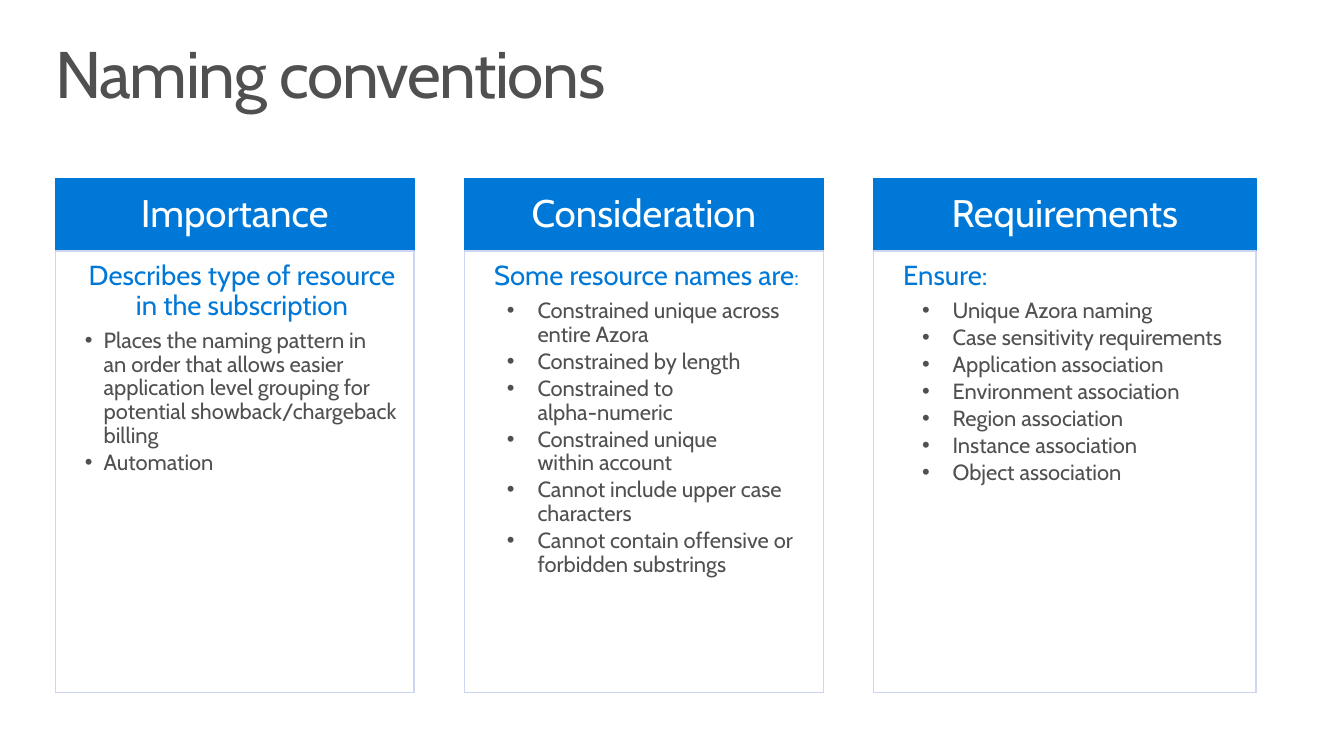
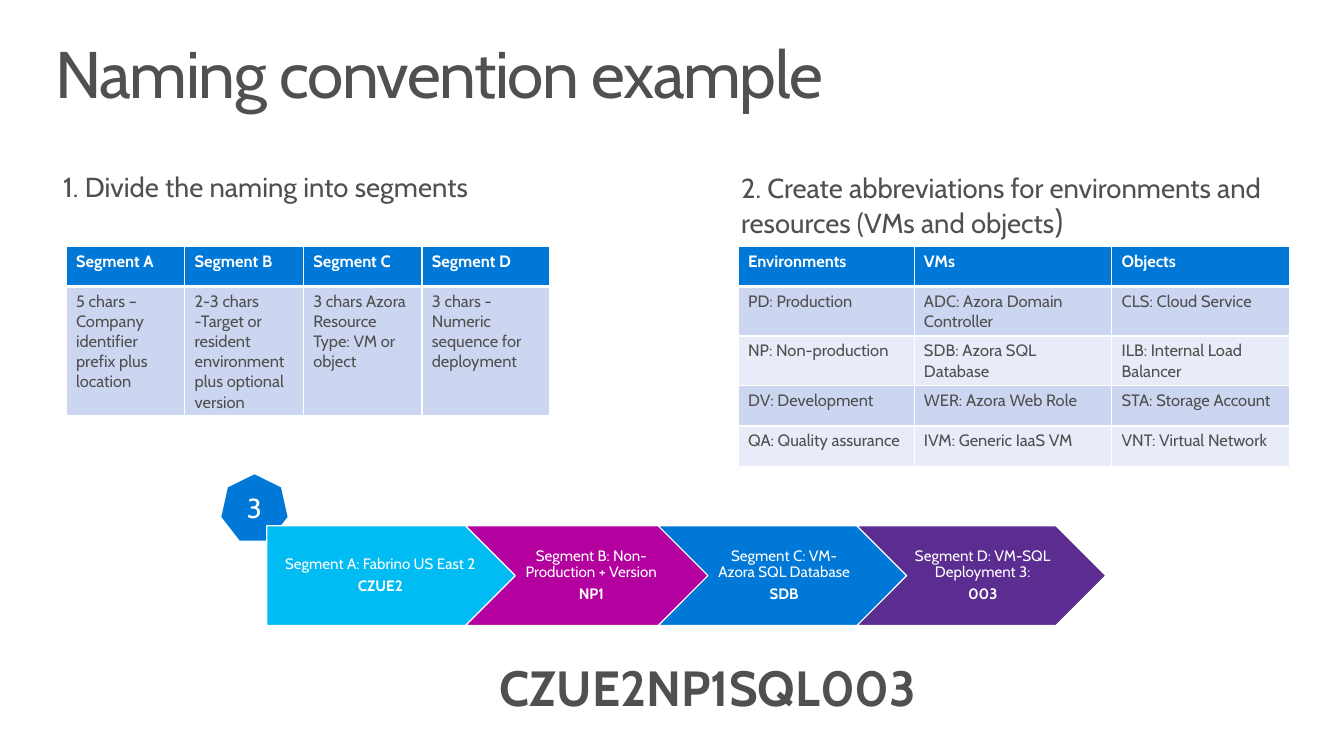
import copy
import pptx
import pptx.util
import pptx.dml.color
import pptx.enum.shapes
import pptx.enum.text
import pptx.oxml.ns
import lxml.etree

SCALE = 9144
FONT = "Cabin"
GRAY, BLUE, WHITE = "505050", "0078D7", "FFFFFF"
PALE, FAINT = "CCD6F0", "E7ECF8"
CYAN, PINK, PLUM = "00BCF2", "B4009E", "5C2D91"
FORMS = pptx.enum.shapes.MSO_SHAPE
ANCHOR = pptx.enum.text.MSO_ANCHOR
LEFT = pptx.enum.text.PP_ALIGN.LEFT
MID = pptx.enum.text.PP_ALIGN.CENTER

CARDS = [
    ("Importance", 363, (38, 19), MID, "Describes type of resource\nin the subscription", "", [
        "Places the naming pattern in\nan order that allows easier application level grouping "
        "for potential showback/chargeback billing",
        "Automation"]),
    ("Consideration", 363, (63, 31), LEFT, "Some resource names are", ":", [
        "Constrained unique across entire Azora",
        "Constrained by length",
        "Constrained to\nalpha-numeric",
        "Constrained unique\nwithin account",
        "Cannot include upper case characters",
        "Cannot contain offensive or forbidden substrings"]),
    ("Requirements", 387, (69, 31), LEFT, "Ensure:", "", [
        "Unique Azora naming",
        "Case sensitivity requirements",
        "Application association",
        "Environment association",
        "Region association",
        "Instance association",
        "Object association"]),
]
PARTS = [
    ["Segment A", "Segment B", "Segment C", "Segment D"],
    ["5 chars – Company identifier prefix plus location",
     "2-3 chars -Target or resident environment plus optional version",
     "3 chars Azora Resource Type: VM or object",
     "3 chars - Numeric sequence for deployment"],
]
CODES = [
    ["Environments", "VMs", "Objects"],
    ["PD: Production", "ADC: Azora Domain Controller", "CLS: Cloud Service"],
    ["NP: Non-production", "SDB: Azora SQL Database", "ILB: Internal Load Balancer"],
    ["DV: Development", "WER: Azora Web Role", "STA: Storage Account"],
    ["QA: Quality assurance", "IVM: Generic IaaS VM", "VNT: Virtual Network"],
]
CHAIN = [
    (270, FORMS.PENTAGON, CYAN, "Segment A: Fabrino US East 2", "CZUE2"),
    (471, FORMS.CHEVRON, PINK, "Segment B: Non-Production + Version", "NP1"),
    (666, FORMS.CHEVRON, BLUE, "Segment C: VM-Azora SQL Database", "SDB"),
    (867, FORMS.CHEVRON, PLUM, "Segment D: VM-SQL Deployment 3:", "003"),
]


def px(size):
    return pptx.util.Emu(size * SCALE)


def hue(code):
    return pptx.dml.color.RGBColor.from_string(code)


def node(parent, tag, **attrs):
    return lxml.etree.SubElement(parent, pptx.oxml.ns.qn(tag), **attrs)


def text(frame, words, size=16, color=GRAY, bold=False, align=LEFT, line=0.9,
         after=0, left=0, hang=0, tail="", tall=16, space=0):
    para = frame.add_paragraph() if frame.text else frame.paragraphs[0]
    para.alignment = align
    para.line_spacing = line
    para.space_before = pptx.util.Pt(0)
    para.space_after = pptx.util.Pt(after)
    props = para._p.get_or_add_pPr()
    props.set("marL", str(px(left)))
    props.set("indent", str(px(-hang)))
    if hang:
        node(props, "a:buFont", typeface="Arial")
        node(props, "a:buChar", char="•")
    pairs = [(row, size) for row in words.split("\n")]
    if tail:
        pairs.append((tail, tall))
    for spot, (part, points) in enumerate(pairs):
        if spot and part != tail:
            para.add_line_break()
        run = para.add_run()
        run.text = part
        run.font.name = FONT
        run.font.size = pptx.util.Pt(points)
        run.font.bold = bold
        run.font.color.rgb = hue(color)
        if space:
            run._r.get_or_add_rPr().set("spc", str(space))
    for stop in para._p.findall(pptx.oxml.ns.qn("a:br")):
        stop.insert(0, copy.deepcopy(para.runs[0]._r.rPr))


def setup(frame, pads, anchor):
    frame.word_wrap = True
    frame.vertical_anchor = anchor
    frame.margin_left, frame.margin_top, frame.margin_right, frame.margin_bottom = map(px, pads)
    return frame


def shape(slide, form, place, fill, line=None, pads=(0, 5, 0, 5), anchor=ANCHOR.MIDDLE):
    item = slide.shapes.add_shape(form, *map(px, place))
    item.shadow.inherit = False
    item.fill.solid()
    item.fill.fore_color.rgb = hue(fill)
    if line:
        item.line.color.rgb = hue(line)
        item.line.width = pptx.util.Pt(0.85)
    else:
        item.line.fill.background()
    return setup(item.text_frame, pads, anchor)


def label(slide, place, words, **style):
    box = slide.shapes.add_textbox(*map(px, place))
    text(setup(box.text_frame, (20, 16, 20, 16), ANCHOR.TOP), words, size=20, after=6, **style)


def page(deck, words):
    slide = deck.slides.add_slide(deck.slide_layouts[5])
    title = slide.shapes.title
    title.left, title.top, title.width, title.height = map(px, (40, 32, 1280, 100))
    frame = setup(title.text_frame, (16, 10, 16, 10), ANCHOR.TOP)
    frame.auto_size = pptx.enum.text.MSO_AUTO_SIZE.NONE
    text(frame, words, size=48, space=-100)
    return slide


def card(slide, left, data):
    head, width, (edge, hang), align, lead, tail, items = data
    frame = shape(slide, FORMS.RECTANGLE, (left, 181, width, 73), BLUE, BLUE, (22, 12, 22, 12))
    text(frame, head, size=28, color=WHITE, align=MID)
    frame = shape(slide, FORMS.RECTANGLE, (left, 254, width, 447), WHITE, PALE,
                  (11, 11, 15, 17), ANCHOR.TOP)
    text(frame, lead, size=20, color=BLUE, align=align, after=6, left=19, tail=tail)
    for item in items:
        text(frame, item, after=2.4, left=edge, hang=hang)


def edges(cell, row):
    props = cell._tc.get_or_add_tcPr()
    for side in "LRTB":
        points = 3 if (row, side) in ((0, "B"), (1, "T")) else 1
        rule = node(props, "a:ln" + side, w=str(pptx.util.Pt(points)))
        node(node(rule, "a:solidFill"), "a:srgbClr", val=WHITE)


def grid(slide, left, top, wides, highs, rows):
    place = map(px, (left, top, sum(wides), sum(highs)))
    table = slide.shapes.add_table(len(rows), len(wides), *place).table
    for column, wide in zip(table.columns, wides):
        column.width = px(wide)
    for index, (row, high) in enumerate(zip(rows, highs)):
        table.rows[index].height = px(high)
        fill = (PALE if index % 2 else FAINT) if index else BLUE
        for spot, words in enumerate(row):
            cell = table.cell(index, spot)
            edges(cell, index)
            cell.fill.solid()
            cell.fill.fore_color.rgb = hue(fill)
            text(cell.text_frame, words, size=12, color=GRAY if index else WHITE,
                 bold=not index, line=1.0)


def rules(deck):
    slide = page(deck, "Naming conventions")
    left = 56
    for data in CARDS:
        card(slide, left, data)
        left += data[1] + 51


def sample(deck):
    slide = page(deck, "Naming convention example")
    label(slide, (44, 161, 600, 63), "1. Divide the naming into segments")
    label(slide, (730, 161, 621, 99),
          "2. Create abbreviations for environments and resources (VMs and objects",
          tail=")", tall=24)
    grid(slide, 67, 249, (120, 120, 120, 129), (41, 130), PARTS)
    grid(slide, 747, 249, (178, 200, 180), (41, 50, 50, 41, 41), CODES)
    badge = shape(slide, FORMS.HEPTAGON, (224, 480, 67, 67), BLUE)
    text(badge, "3", size=20, color=WHITE, align=MID, line=1.0)
    for left, form, fill, words, code in CHAIN:
        frame = shape(slide, form, (left, 532, 252, 101), fill, WHITE, (5, 3, 2, 3))
        for line, bold in ((words, False), (code, True)):
            text(frame, line, size=11, color=WHITE, bold=bold, align=MID, after=4)
    total = shape(slide, FORMS.RECTANGLE, (322, 666, 789, 58), WHITE)
    text(total, "CZUE2NP1SQL003", size=36, bold=True, align=MID, line=1.0)


def main():
    deck = pptx.Presentation()
    deck.slide_width, deck.slide_height = px(1360), px(765)
    rules(deck)
    sample(deck)
    deck.save("out.pptx")


if __name__ == "__main__":
    main()
